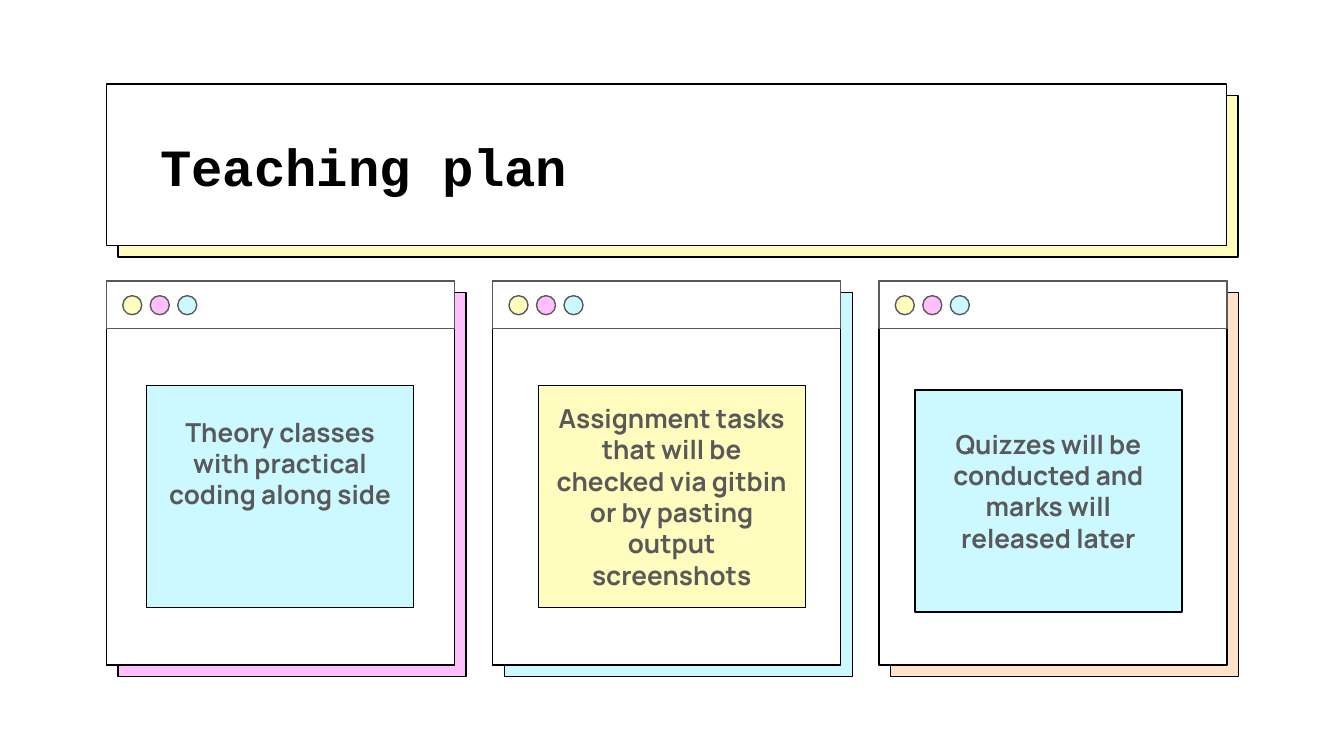
from pptx import Presentation
from pptx.dml.color import RGBColor
from pptx.enum import shapes, text
from pptx.util import Cm, Pt

BLACK = RGBColor(0x00, 0x00, 0x00)
GREY = RGBColor(0x59, 0x59, 0x59)
WHITE = RGBColor(0xFF, 0xFF, 0xFF)
YELLOW = RGBColor(0xFF, 0xFC, 0xBE)
PINK = RGBColor(0xFF, 0xBF, 0xFD)
CYAN = RGBColor(0xCC, 0xF8, 0xFF)
PEACH = RGBColor(0xFF, 0xE2, 0xCA)

# Content: wording, shadow, note fill, note offset (x, y), text box (x, y, width)
TITLE = "Teaching plan"
CARDS = [
    ("Theory classes with practical coding along side",
     PINK, CYAN, (0.76, 1.98), (0.77, 1.54, 5.03)),
    ("Assignment tasks that will be checked via gitbin or by pasting "
     "output screenshots",
     CYAN, YELLOW, (0.87, 1.98), (0.78, 2.17, 5.21)),
    ("Quizzes will be conducted and marks will released later",
     PEACH, CYAN, (0.68, 2.06), (0.69, 2.06, 5.03)),
]
DOTS = [YELLOW, PINK, CYAN]

# Layout, in centimetres
LEFT, OFFSET = 2.01, 0.22
BANNER_TOP, BANNER_W, BANNER_H = 1.59, 21.17, 3.05
CARD_TOP, CARD_W, CARD_H, CARD_STEP = 5.31, 6.58, 7.26, 7.3
BAR_H = 0.9
DOT, DOT_X, DOT_Y, DOT_STEP = 0.36, 0.31, 0.28, 0.52
NOTE_W, NOTE_H, TEXT_H = 5.05, 4.2, 3.81

RECT = shapes.MSO_SHAPE.RECTANGLE
OVAL = shapes.MSO_SHAPE.OVAL


def add_box(s, x, y, w, h, fill, line=BLACK, kind=RECT):
    sp = s.shapes.add_shape(kind, Cm(x), Cm(y), Cm(w), Cm(h))
    sp.shadow.inherit = False
    sp.fill.solid()
    sp.fill.fore_color.rgb = fill
    sp.line.color.rgb = line
    sp.line.width = Pt(0.75)


def add_shadowed_box(s, x, y, w, h, shadow):
    add_box(s, x + OFFSET, y + OFFSET, w, h, shadow)
    add_box(s, x, y, w, h, WHITE)


def write(sp, wording, font, size, color, align, anchor):
    tf = sp.text_frame
    tf.word_wrap = True
    tf.auto_size = text.MSO_AUTO_SIZE.NONE
    tf.vertical_anchor = anchor
    tf.margin_left = tf.margin_right = Cm(0.25)
    tf.margin_top = tf.margin_bottom = Cm(0.25)
    p = tf.paragraphs[0]
    p.alignment = align
    p.line_spacing = 1.0
    r = p.add_run()
    r.text = wording
    r.font.name = font
    r.font.size = Pt(size)
    r.font.bold = True
    r.font.color.rgb = color


prs = Presentation()
prs.slide_width, prs.slide_height = Cm(25.4), Cm(14.29)
s = prs.slides.add_slide(prs.slide_layouts[5])

# Banner with the title brought in front of it
add_shadowed_box(s, LEFT, BANNER_TOP, BANNER_W, BANNER_H, YELLOW)
title = s.shapes.title
title.left, title.top = Cm(2.78), Cm(2.29)
title.width, title.height = Cm(12.14), Cm(1.6)
write(title, TITLE, "Courier New", 28, BLACK, text.PP_ALIGN.LEFT,
      text.MSO_ANCHOR.TOP)
s.shapes._spTree.append(title._element)

# Window cards
for i, (wording, shadow, fill, note, box) in enumerate(CARDS):
    x = LEFT + i * CARD_STEP
    add_shadowed_box(s, x, CARD_TOP, CARD_W, CARD_H, shadow)

    # Window bar and its buttons
    add_box(s, x, CARD_TOP, CARD_W, BAR_H, WHITE, GREY)
    for j, color in enumerate(DOTS):
        add_box(s, x + DOT_X + j * DOT_STEP, CARD_TOP + DOT_Y, DOT, DOT,
                color, GREY, OVAL)

    # Note and its text
    add_box(s, x + note[0], CARD_TOP + note[1], NOTE_W, NOTE_H, fill)
    dx, dy, width = box
    sp = s.shapes.add_textbox(Cm(x + dx), Cm(CARD_TOP + dy),
                              Cm(width), Cm(TEXT_H))
    write(sp, wording, "Manrope", 14, GREY, text.PP_ALIGN.CENTER,
          text.MSO_ANCHOR.MIDDLE)

prs.save("out.pptx")
